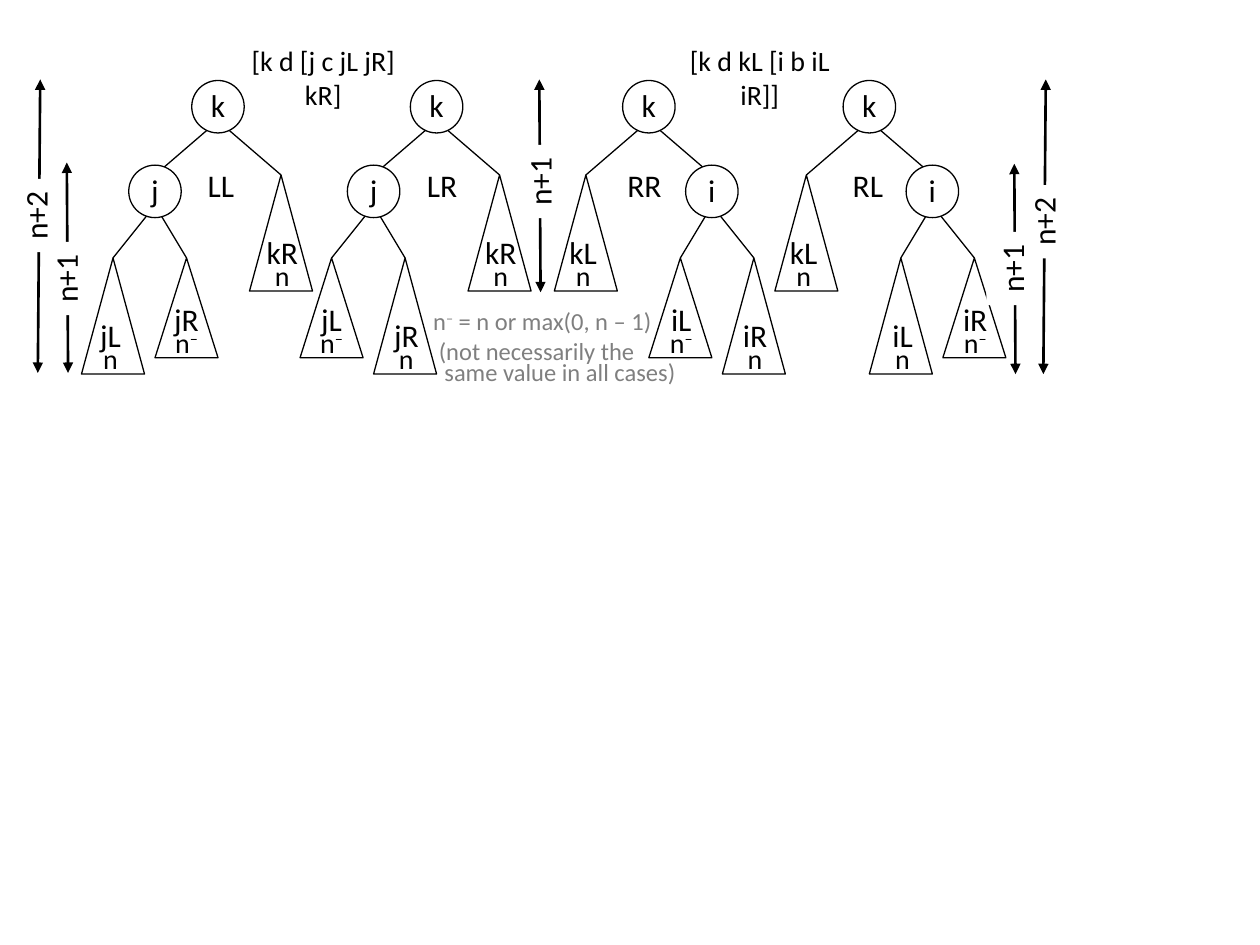
from lxml import etree
from pptx import Presentation
from pptx.dml.color import RGBColor
from pptx.enum.shapes import MSO_CONNECTOR, MSO_SHAPE
from pptx.enum.text import MSO_ANCHOR, MSO_AUTO_SIZE, PP_ALIGN
from pptx.oxml.ns import qn
from pptx.util import Pt

LINE = MSO_CONNECTOR.STRAIGHT
CIRCLE, TRIANGLE, RECT = MSO_SHAPE.OVAL, MSO_SHAPE.ISOSCELES_TRIANGLE, MSO_SHAPE.RECTANGLE
LEFT, CENTER = PP_ALIGN.LEFT, PP_ALIGN.CENTER
FONT, BLACK, WHITE, GREY = "Calibri", "000000", "FFFFFF", "7F7F7F"

# text, left, width
TITLES = [("[k d [j c jL jR] kR]", 124.6, 120.2), ("[k d kL [i b iL iR]]", 374.4, 119.5)]

# Child side is -1 for left and 1 for right.
# Subtrees are (name, is short, label shift): outer and inner under the child, then the sibling.
TREES = [
    dict(case="LL", case_left=111.6, case_width=29.5, x=124.6, side=-1, child="j",
         outer=("jL", False, -1.5), inner=("jR", True, 0), sibling=("kR", False, 0.7)),
    dict(case="LR", case_left=236.9, case_width=31.7, x=249.5, side=-1, child="j",
         outer=("jL", True, 0), inner=("jR", False, 0.7), sibling=("kR", False, 0.7)),
    dict(case="RR", case_left=351.4, case_width=33.8, x=370.8, side=1, child="i",
         outer=("iR", False, 0.7), inner=("iL", True, 0.5), sibling=("kL", False, -1.5)),
    dict(case="RL", case_left=480.2, case_width=31.7, x=496.8, side=1, child="i",
         outer=("iR", True, 0.5), inner=("iL", False, 1), sibling=("kL", False, -1.5)),
]

# label, label centre, arrow start, arrow end
HEIGHTS = [
    ("n+1", (308.2, 103.7), (308.2, 45.4), (308.9, 167)),
    ("n+1", (37.4, 159.1), (38.2, 92.9), (38.9, 213.1)),
    ("n+2", (596.2, 126.7), (597.6, 45.4), (596.2, 213.8)),
    ("n+1", (578.2, 153.4), (579.6, 93.6), (580.3, 213.8)),
    ("n+2", (20.2, 123.1), (23, 45.4), (21.6, 213.1)),
]

# runs as (text, is superscript), indent, line spacing
NOTE = [
    ([("n", False), ("–", True), (" = n or max(0, n – 1)", False)], 0, 12),
    ([("(not necessarily the", False)], 3.2, None),
    ([("same value in all cases)", False)], 6.4, 12),
]

NODE, ROOT_TOP, CHILD_TOP = 30, 46, 94.4
CHILD_DX, OUTER_DX, INNER_DX = 36, 24, 18
SIBLING_TOP, SUBTREE_TOP = 100, 147.4
BASE, TALL, SHORT = 36, 66.3, 57


def rgb(code):
    return RGBColor.from_string(code)


def add_line(shapes, start, end, width=0.75, arrows=False):
    c = shapes.add_connector(LINE, *map(Pt, start + end))
    c.line.color.rgb = rgb(BLACK)
    c.line.width = Pt(width)
    if arrows:
        ln = c.line._get_or_add_ln()
        for tag in ("a:headEnd", "a:tailEnd"):
            etree.SubElement(ln, qn(tag), type="triangle")
    etree.SubElement(c._element.spPr, qn("a:effectLst"))


def add_shape(shapes, kind, x, y, w, h, fill=None, outlined=True):
    sp = shapes.add_shape(kind, Pt(x), Pt(y), Pt(w), Pt(h))
    sp.shadow.inherit = False
    if fill:
        sp.fill.solid()
        sp.fill.fore_color.rgb = rgb(fill)
    else:
        sp.fill.background()
    if outlined:
        sp.line.color.rgb = rgb(BLACK)
        sp.line.width = Pt(0.75)
    else:
        sp.line.fill.background()
    return sp


def add_paragraph(tf, runs, size, color=BLACK, align=LEFT, spacing=None, first=False):
    p = tf.paragraphs[0] if first else tf.add_paragraph()
    p.alignment = align
    if spacing:
        p.line_spacing = Pt(spacing)
    p.font.name, p.font.size, p.font.color.rgb = FONT, Pt(size), rgb(color)
    for text, superscript in runs:
        r = p.add_run()
        r.text = text
        if superscript:
            r.font._element.set("baseline", "30000")
    return p


def add_box(shapes, x, y, w, h, wrap=False):
    tf = shapes.add_textbox(Pt(x), Pt(y), Pt(w), Pt(h)).text_frame
    tf.word_wrap = wrap
    tf.auto_size = MSO_AUTO_SIZE.SHAPE_TO_FIT_TEXT
    return tf


def add_node(shapes, name, x, top):
    tf = add_shape(shapes, CIRCLE, x - NODE / 2, top, NODE, NODE, WHITE).text_frame
    tf.margin_left = tf.margin_right = tf.margin_top = 0
    tf.margin_bottom = Pt(2)
    tf.vertical_anchor = MSO_ANCHOR.MIDDLE
    add_paragraph(tf, [(name, False)], 18, align=CENTER, first=True)


def add_subtree(shapes, subtree, x, top):
    name, short, shift = subtree
    height = SHORT if short else TALL
    add_shape(shapes, TRIANGLE, x - BASE / 2, top, BASE, height)
    tf = add_box(shapes, x - 21.6 + shift, top + height - 36.5, 43.2, 41, wrap=True)
    add_paragraph(tf, [(name, False)], 18, align=CENTER, first=True)
    size = [("n", False)] + ([("–", True)] if short else [])
    add_paragraph(tf, size, 16, align=CENTER, spacing=12)


def add_tree(shapes, tree):
    x, side = tree["x"], tree["side"]
    child_x, sibling_x = x + side * CHILD_DX, x - side * CHILD_DX
    outer_x, inner_x = child_x + side * OUTER_DX, child_x - side * INNER_DX
    tf = add_box(shapes, tree["case_left"], 91.4, tree["case_width"], 29)
    add_paragraph(tf, [(tree["case"], False)], 18, first=True)
    for end_x in (child_x, sibling_x):
        add_line(shapes, (x, 69), (end_x, SIBLING_TOP))
    add_node(shapes, "k", x, ROOT_TOP)
    for end_x in (outer_x, inner_x):
        add_line(shapes, (child_x, 117.4), (end_x, SUBTREE_TOP))
    add_node(shapes, tree["child"], child_x, CHILD_TOP)
    add_subtree(shapes, tree["inner"], inner_x, SUBTREE_TOP)
    add_subtree(shapes, tree["outer"], outer_x, SUBTREE_TOP)
    add_subtree(shapes, tree["sibling"], sibling_x, SIBLING_TOP)


def add_height(shapes, label, center, start, end):
    add_line(shapes, start, end, 1.5, arrows=True)
    w, h = 41.8, 29
    sp = add_shape(shapes, RECT, center[0] - w / 2, center[1] - h / 2, w, h, WHITE, outlined=False)
    sp.rotation = 270
    tf = sp.text_frame
    tf.word_wrap = False
    tf.auto_size = MSO_AUTO_SIZE.SHAPE_TO_FIT_TEXT
    tf.vertical_anchor = MSO_ANCHOR.TOP
    add_paragraph(tf, [(label, False)], 18, first=True)


def main():
    prs = Presentation()
    prs.slide_width, prs.slide_height = Pt(720), Pt(540)
    s = prs.slides.add_slide(prs.slide_layouts[6])
    for text, left, width in TITLES:
        tf = add_box(s.shapes, left, 21.6, width, 26.6)
        add_paragraph(tf, [(text, False)], 16, align=CENTER, first=True)
    for tree in TREES:
        add_tree(s.shapes.add_group_shape().shapes, tree)
    for height in HEIGHTS:
        add_height(s.shapes.add_group_shape().shapes, *height)
    tf = add_box(s.shapes, 240.5, 176.4, 184.3, 48.2, wrap=True)
    for i, (runs, indent, spacing) in enumerate(NOTE):
        p = add_paragraph(tf, runs, 14, GREY, spacing=spacing, first=i == 0)
        p._p.get_or_add_pPr().set("marL", str(Pt(indent)))
    prs.save("out.pptx")


if __name__ == "__main__":
    main()
